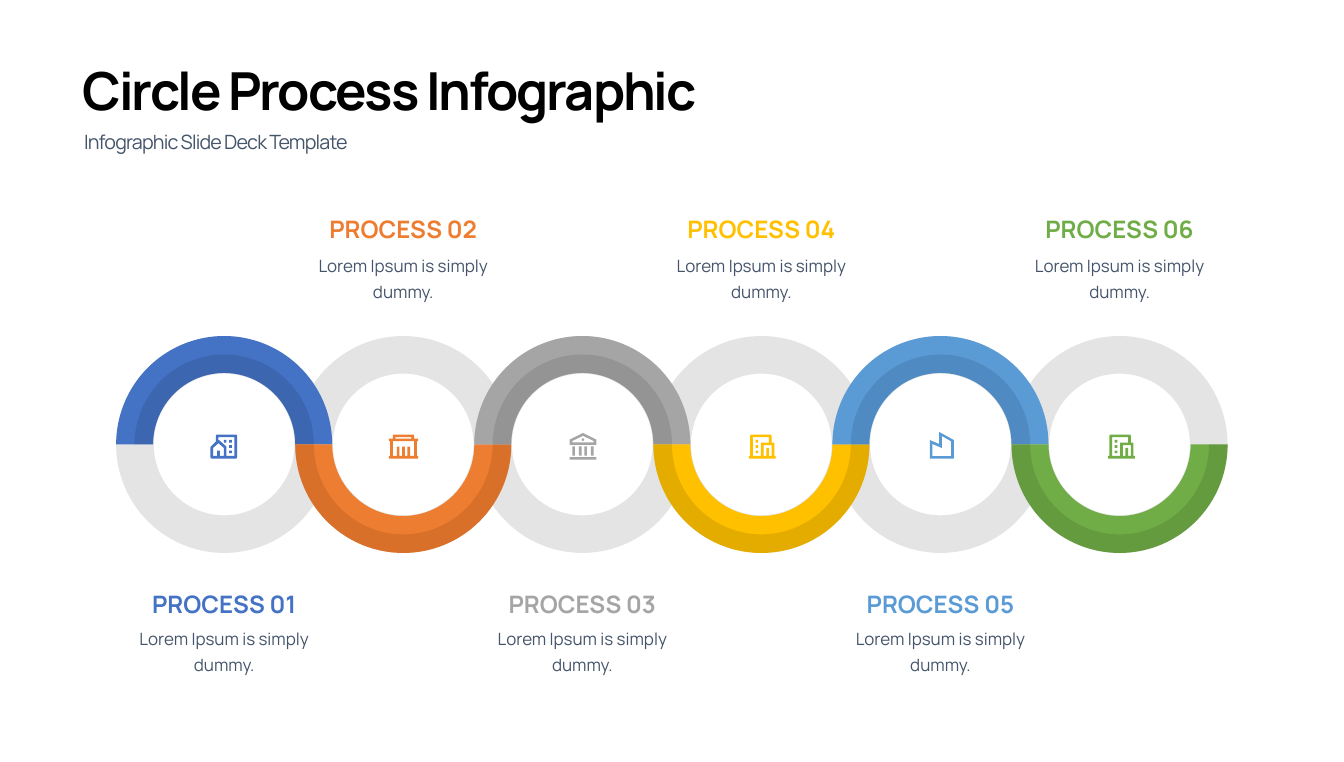
"""Build the six-step circle process slide."""
from lxml.etree import SubElement
from pptx import Presentation
from pptx.dml.color import RGBColor
from pptx.enum.shapes import MSO_SHAPE as Kind
from pptx.enum.text import MSO_ANCHOR as Anchor, MSO_AUTO_SIZE as Auto, PP_ALIGN as Align
from pptx.oxml.ns import qn
from pptx.util import Pt


def box(x, y, w=2, h=2):
    return [(x, y), (x + w, y), (x + w, y + h), (x, y + h)]


HOUSE = [
    [(19, 18), (1, 18), (.3, 17.7), (0, 17), (0, 9.7), (.3, 9), (4, 5.3), (4, 1),
     (4.3, .3), (5, 0), (19, 0), (19.7, .3), (20, 1), (20, 17), (19.7, 17.7)],
    [(7, 16), (10, 16), (10, 10), (6, 6.5), (2, 10), (2, 16), (5, 16), (5, 12), (7, 12)],
    [(12, 16), (18, 16), (18, 2), (6, 2), (6, 4.1), (6.7, 4.4), (11.7, 8.8), (12, 9.5)],
    box(14, 4), box(14, 8), box(14, 12), box(10, 4),
]
HALL = [
    [(19, 3), (22, 3), (22, 5), (21, 5), (21, 16), (22, 16), (22, 18), (0, 18), (0, 16),
     (1, 16), (1, 5), (0, 5), (0, 3), (3, 3), (3, 1), (3.3, .3), (4, 0), (18, 0),
     (18.7, .3), (19, 1)],
    [(19, 5), (3, 5), (3, 16), (6, 16), (6, 9), (8, 9), (8, 16), (10, 16), (10, 9),
     (12, 9), (12, 16), (14, 16), (14, 9), (16, 9), (16, 16), (19, 16)],
    box(5, 2, 12, 1),
]
BANK = [
    box(0, 18, 20, 2), *[box(x, 10, 2, 7) for x in (2, 7, 11, 16)],
    [(0, 5), (10, 0), (20, 5), (20, 9), (0, 9)],
    [(2, 6), (2, 7), (18, 7), (18, 6), (10, 2.2)],
    [(10, 6), (9.3, 5.7), (9, 5), (9.3, 4.3), (10, 4), (10.7, 4.3), (11, 5), (10.7, 5.7)],
]
TOWER = [
    [(20, 18), (0, 18), (0, 16), (1, 16), (1, 1), (1.3, .3), (2, 0), (16, 0),
     (16.7, .3), (17, 1), (17, 6), (19, 6), (19, 16), (20, 16)],
    [(15, 16), (17, 16), (17, 8), (11, 8), (11, 16), (13, 16), (13, 10), (15, 10)],
    [(15, 6), (15, 2), (3, 2), (3, 16), (9, 16), (9, 6)],
    box(5, 4), box(5, 8), box(5, 12),
]
PLANT = [
    [(7, 9), (7, 0), (18, 6), (18, 20), (0, 20), (0, 6)],
    [(9, 3), (9, 12), (2, 9), (2, 18), (16, 18), (16, 7)],
]

TITLE = "Circle Process Infographic"
SUB = "Infographic Slide Deck Template"
BODY = "Lorem Ipsum is simply dummy."
STEPS = [
    ("PROCESS 01", "4472C4", "203864", HOUSE, (297.4, 614.2)),
    ("PROCESS 02", "ED7D31", "843C0B", HALL, (549.4, 614.2)),
    ("PROCESS 03", "A5A5A5", "525252", BANK, (805, 612)),
    ("PROCESS 04", "FFC000", "806000", TOWER, (1058.4, 614.2)),
    ("PROCESS 05", "5B9BD5", "1F4E79", PLANT, (1314, 610.6)),
    ("PROCESS 06", "70AD47", "385723", TOWER, (1566, 614.2)),
]
FONT, SLATE = "Manrope", "44546A"
FIRST, STEP, MID = 316.8, 253.08, 628.3
WIDE, HIGH, UNIT = 305.3, 306.6, 1.89
LABEL = 290.2


def color(hex):
    return RGBColor.from_string(hex)


def paint(shape, hex, alpha=None):
    shape.shadow.inherit = False
    shape.line.fill.background()
    shape.fill.solid()
    shape.fill.fore_color.rgb = color(hex)
    if alpha:
        tone = shape._element.spPr.find(qn("a:solidFill"))[0]
        SubElement(tone, qn("a:alpha"), val=str(alpha * 1000))


def ring(kind, mid, scale, thick, hex, alpha=None, low=False):
    w, h = WIDE * scale, HIGH * scale
    shape = shapes.add_shape(kind, Pt(mid - w / 2), Pt(MID - h / 2), Pt(w), Pt(h))
    shape.adjustments[len(shape.adjustments) - 1] = thick
    shape.rotation = 180 if low else 0
    paint(shape, hex, alpha)


def icon(loops, hex, left, top):
    pen = shapes.build_freeform(scale=Pt(UNIT) / 10)
    for loop in loops:
        spots = [(x * 10, y * 10) for x, y in loop]
        pen.move_to(*spots[0])
        pen.add_line_segments(spots[1:], close=True)
    paint(pen.convert_to_shape(Pt(left), Pt(top)), hex)


def write(shape, text, size, hex, bold=False, line=None, align=Align.LEFT,
          anchor=Anchor.TOP, track=0):
    frame = shape.text_frame
    frame.text = text
    frame.word_wrap, frame.auto_size = True, Auto.NONE
    frame.vertical_anchor = anchor
    para = frame.paragraphs[0]
    para.alignment, para.space_before = align, Pt(0)
    if line:
        para.line_spacing = Pt(line)
    run = para.runs[0]
    run.font.name, run.font.size, run.font.bold = FONT, Pt(size), bold
    run.font.color.rgb = color(hex)
    if track:
        run._r.get_or_add_rPr().set("spc", str(track))


def place(shape, left, top, width, height):
    shape.left, shape.top = Pt(left), Pt(top)
    shape.width, shape.height = Pt(width), Pt(height)


def label(mid, top, height, *args, **style):
    shape = shapes.add_textbox(Pt(mid - LABEL / 2), Pt(top), Pt(LABEL), Pt(height))
    frame = shape.text_frame
    frame.margin_left = frame.margin_right = Pt(11.5)
    frame.margin_top = frame.margin_bottom = Pt(5.76)
    write(shape, *args, align=Align.CENTER, **style)


deck = Presentation()
deck.slide_width, deck.slide_height = Pt(1899.4), Pt(1077.1)
slide = deck.slides.add_slide(deck.slide_layouts[0])
shapes = slide.shapes

head, sub = slide.placeholders
place(head, 109.4, 73.4, 1457.3, 99.4)
write(head, TITLE, 74, "000000", bold=True, line=94, track=-290)
place(sub, 111.6, 170.6, 1385.3, 46.8)
write(sub, SUB, 27.8, SLATE, line=42, track=-120)

mids = [FIRST + STEP * i for i in range(len(STEPS))]
for mid in mids:
    ring(Kind.DONUT, mid, 1, .174, "A6A6A6", 30)

for i, (name, hue, dark, loops, spot) in enumerate(STEPS):
    mid, low = mids[i], i % 2 == 1
    ring(Kind.BLOCK_ARC, mid, 1, .171, hue, low=low)
    scale, thick = (1, .086) if low else (.83, .103)
    ring(Kind.BLOCK_ARC, mid, scale, thick, dark, 20, low)
    icon(loops, hue, *spot)
    top, below = (297.4, 348.5) if low else (826.6, 876.2)
    label(mid, top, 52.6, name, 34, hue, bold=True, anchor=Anchor.BOTTOM)
    label(mid, below, 82.1, BODY, 24, SLATE, line=36)

deck.save("out.pptx")
